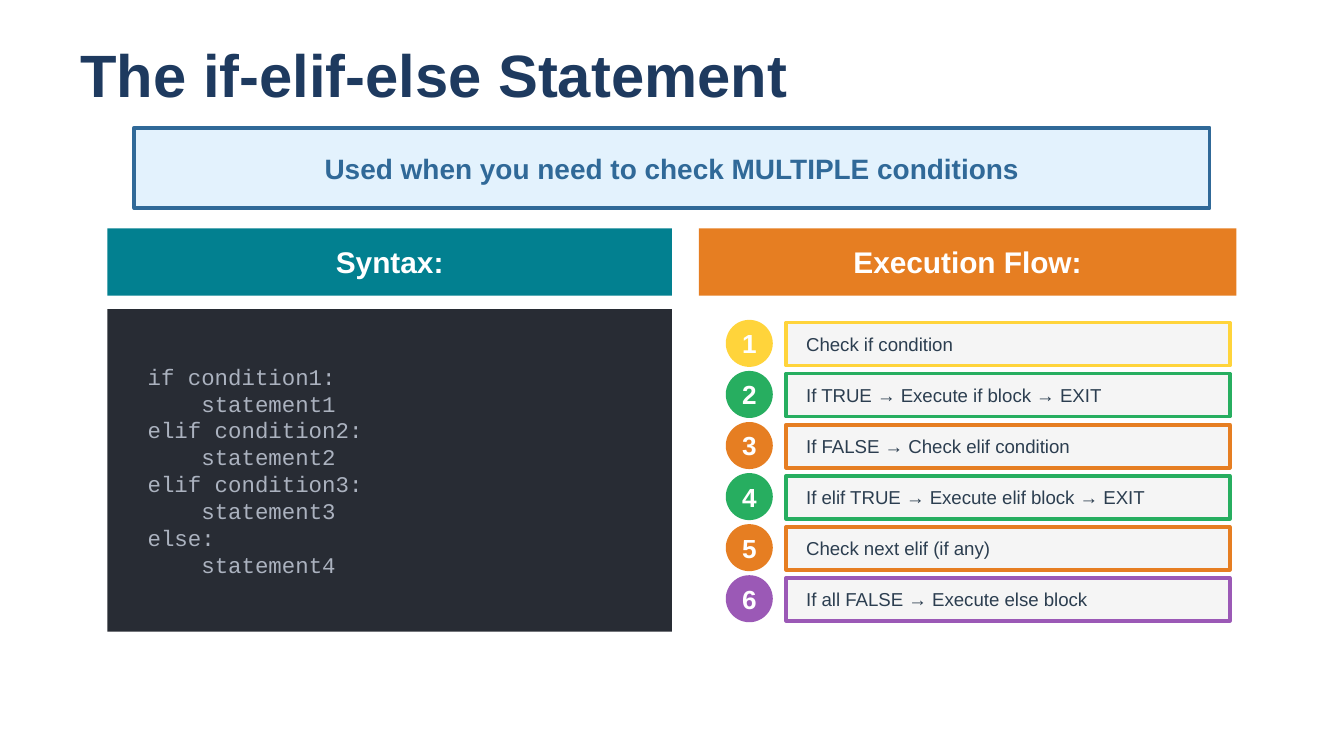
from dataclasses import dataclass
from typing import Optional

from pptx import Presentation
from pptx.dml.color import RGBColor
from pptx.enum.shapes import MSO_SHAPE
from pptx.enum.text import MSO_ANCHOR, PP_ALIGN
from pptx.util import Emu, Inches, Pt

RECTANGLE = MSO_SHAPE.RECTANGLE
OVAL = MSO_SHAPE.OVAL
MIDDLE = MSO_ANCHOR.MIDDLE
LEFT = PP_ALIGN.LEFT
CENTER = PP_ALIGN.CENTER

SLIDE_WIDTH = Inches(10)
SLIDE_HEIGHT = Emu(SLIDE_WIDTH * 9 // 16)
UNIT = SLIDE_WIDTH // 100
INDENT = 4 * UNIT
STEP_TOP = 23.8
STEP_PITCH = 3.8

WHITE = "FFFFFF"
NAVY = "1E3A5F"
BLUE = "306998"
PALE_BLUE = "E3F2FD"
TEAL = "028090"
ORANGE = "E67E22"
GREEN = "27AE60"
YELLOW = "FFD43B"
PURPLE = "9B59B6"
CODE_FILL = "282C34"
CODE_TEXT = "ABB2BF"
STEP_FILL = "F5F5F5"
STEP_TEXT = "2C3E50"


@dataclass(frozen=True)
class Area:
    column: float
    row: float
    columns: float
    rows: float

    def place(self) -> tuple[Emu, ...]:
        lengths = (self.column, self.row, self.columns, self.rows)
        return tuple(Emu(round(length * UNIT)) for length in lengths)


@dataclass(frozen=True)
class Style:
    size: int
    color: str
    bold: bool = True
    align: PP_ALIGN = CENTER
    font: str = "Arial"


@dataclass(frozen=True)
class Line:
    text: str
    level: int = 0


@dataclass(frozen=True)
class Header:
    text: str
    color: str
    column: float
    columns: float


@dataclass(frozen=True)
class Step:
    text: str
    color: str


TITLE_STYLE = Style(32, NAVY, align=LEFT)
BANNER_STYLE = Style(15, BLUE)
HEADER_STYLE = Style(16, WHITE)
NUMBER_STYLE = Style(14, WHITE)
STEP_STYLE = Style(10, STEP_TEXT, bold=False, align=LEFT)
CODE_STYLE = Style(12, CODE_TEXT, bold=False, align=LEFT, font="Courier New")

HEADERS = [
    Header("Syntax:", TEAL, 8, 42),
    Header("Execution Flow:", ORANGE, 52, 40),
]
CODE = [
    Line("if condition1:"),
    Line("statement1", 1),
    Line("elif condition2:"),
    Line("statement2", 1),
    Line("elif condition3:"),
    Line("statement3", 1),
    Line("else:"),
    Line("statement4", 1),
]
STEPS = [
    Step("Check if condition", YELLOW),
    Step("If TRUE → Execute if block → EXIT", GREEN),
    Step("If FALSE → Check elif condition", ORANGE),
    Step("If elif TRUE → Execute elif block → EXIT", GREEN),
    Step("Check next elif (if any)", ORANGE),
    Step("If all FALSE → Execute else block", PURPLE),
]


def rgb(value: str) -> RGBColor:
    return RGBColor.from_string(value)


def add_box(page, area: Area, fill: str, border: Optional[str] = None,
            kind: MSO_SHAPE = RECTANGLE) -> None:
    box = page.shapes.add_shape(kind, *area.place())
    box.shadow.inherit = False
    box.fill.solid()
    box.fill.fore_color.rgb = rgb(fill)
    if border:
        box.line.color.rgb = rgb(border)
        box.line.width = Pt(2)
    else:
        box.line.fill.background()


def add_text(page, area: Area, lines: list[Line], style: Style) -> None:
    frame = page.shapes.add_textbox(*area.place()).text_frame
    frame.word_wrap = True
    frame.vertical_anchor = MIDDLE
    for index, line in enumerate(lines):
        para = frame.add_paragraph() if index else frame.paragraphs[0]
        para.alignment = style.align
        if line.level:
            para._p.get_or_add_pPr().set("marL", str(line.level * INDENT))
        span = para.add_run()
        span.text = line.text
        span.font.name = style.font
        span.font.size = Pt(style.size)
        span.font.bold = style.bold
        span.font.color.rgb = rgb(style.color)


def add_header(page, header: Header) -> None:
    add_box(page, Area(header.column, 17, header.columns, 5), header.color)
    add_text(page, Area(header.column, 17.5, header.columns, 4),
             [Line(header.text)], HEADER_STYLE)


def add_step(page, index: int, step: Step) -> None:
    row = STEP_TOP + index * STEP_PITCH
    badge = Area(54, row, 3.5, 3.5)
    add_box(page, badge, step.color, kind=OVAL)
    add_text(page, badge, [Line(str(index + 1))], NUMBER_STYLE)
    add_box(page, Area(58.5, row + 0.2, 33, 3.2), STEP_FILL, step.color)
    add_text(page, Area(59, row + 0.3, 32, 3), [Line(step.text)], STEP_STYLE)


def main() -> None:
    deck = Presentation()
    deck.slide_width = SLIDE_WIDTH
    deck.slide_height = SLIDE_HEIGHT
    page = deck.slides.add_slide(deck.slide_layouts[6])

    add_text(page, Area(5, 3, 90, 5), [Line("The if-elif-else Statement")], TITLE_STYLE)
    add_box(page, Area(10, 9.5, 80, 6), PALE_BLUE, BLUE)
    add_text(page, Area(10, 10.5, 80, 4),
             [Line("Used when you need to check MULTIPLE conditions")], BANNER_STYLE)

    for header in HEADERS:
        add_header(page, header)
    add_box(page, Area(8, 23, 42, 24), CODE_FILL)
    add_text(page, Area(10, 24.5, 38, 21), CODE, CODE_STYLE)
    for index, step in enumerate(STEPS):
        add_step(page, index, step)

    deck.save("out.pptx")


if __name__ == "__main__":
    main()
